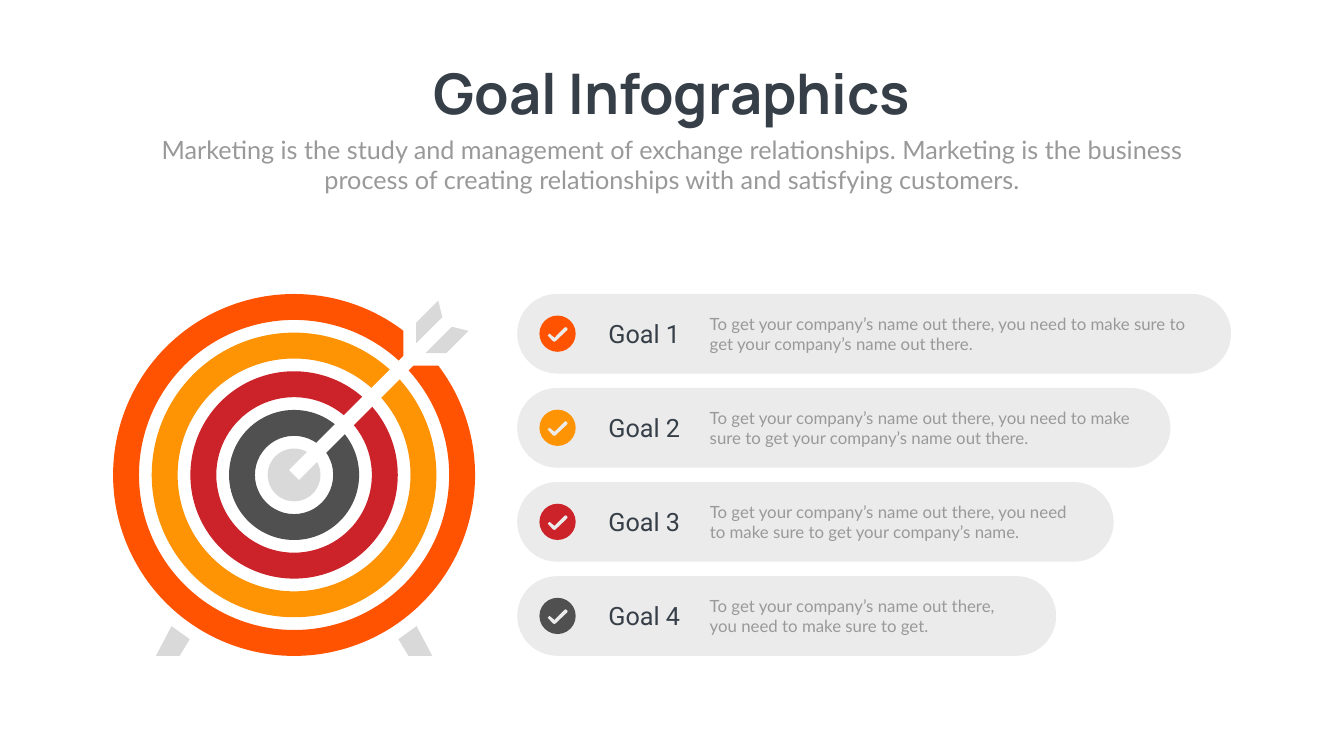
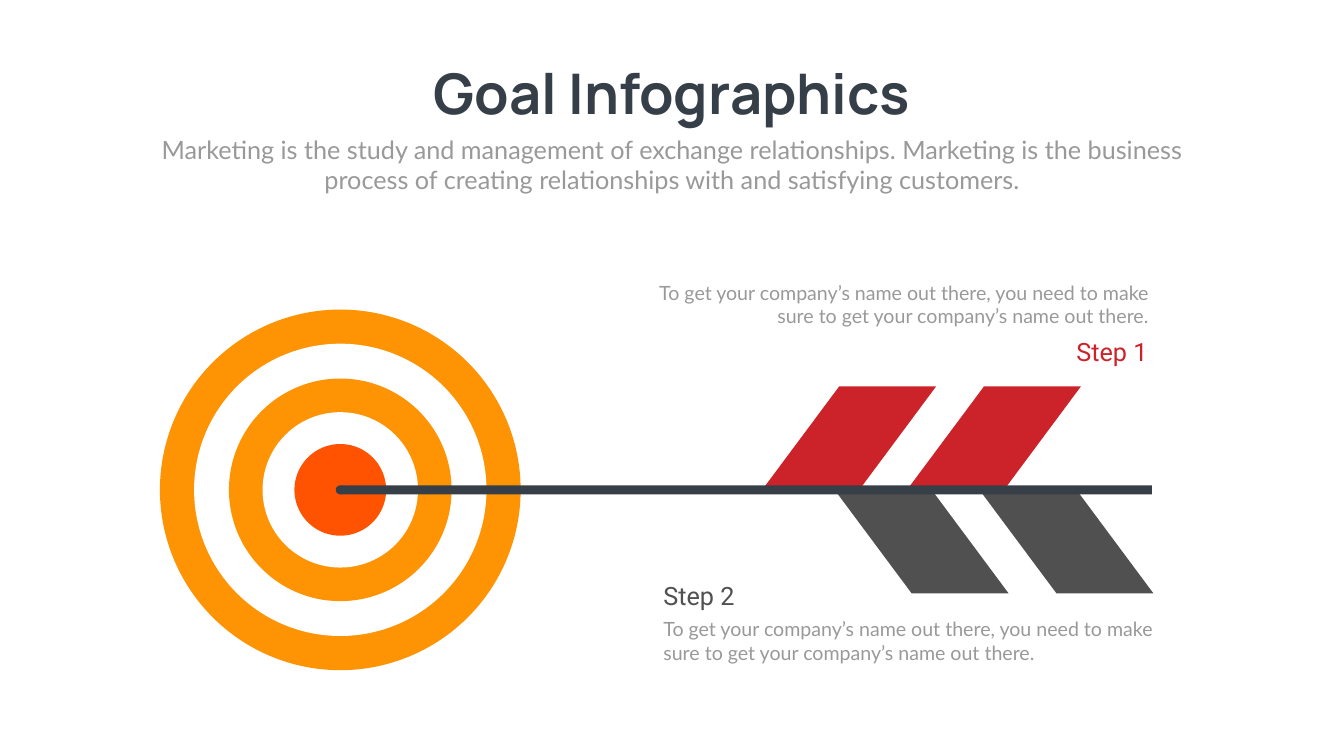
"""Build two goal infographic slides: a target with four goals and a target with two steps."""
import pptx
import pptx.dml.color
import pptx.enum.shapes
import pptx.enum.text
import pptx.util

Pt = pptx.util.Pt
SHAPE = pptx.enum.shapes.MSO_SHAPE
ALIGN = pptx.enum.text.PP_ALIGN

ORANGE, AMBER, RED, CHARCOAL = "FF5301", "FE9304", "CC2229", "4F504F"
NAVY, GREY, SILVER, PALE, WHITE = "363E48", "999999", "D9D9D9", "EBEBEB", "FFFFFF"

TITLE = "Goal Infographics"
SUBTITLE = ("Marketing is the study and management of exchange relationships. Marketing is the "
            "business process of creating relationships with and satisfying customers.")
PITCH = "To get your company’s name out there, you need to make sure to get"
FULL_PITCH = PITCH + " your company’s name out there."

GOALS = [
    ("Goal 1", FULL_PITCH, ORANGE, 1019.5, 695.5),
    ("Goal 2", FULL_PITCH, AMBER, 933, 624.2),
    ("Goal 3", PITCH + " your company’s name.", RED, 851.8, 530),
    ("Goal 4", PITCH + ".", CHARCOAL, 769.7, 439.2),
]
BAR_LEFT, BAR_TOP, BAR_HEIGHT, BAR_PITCH = 738.7, 419.8, 113.8, 134.4
CHECK = [(-14, 2.5), (-11.5, 0), (-4.3, 5.8), (10, -8.6), (11.9, -9.4), (14.4, -7),
         (13.7, -5), (-2.9, 10.8), (-4.3, 11.5), (-6.5, 10.8)]

TARGET = (420, 678.5)
RING_COLORS = [ORANGE, AMBER, RED, CHARCOAL]
RING_RADIUS, RING_PITCH, RING_WIDTH = 258.5, 55.2, 37
SLOT = [(-7, -7), (7, 7), (172, -158), (158, -172)]
NOTCH = [(156.2, -169.5), (170, -156.2), (215, -156.2), (215, -215), (156.2, -215)]
FLIGHT = [(217.4, -174.2), (249.1, -205.9), (225.4, -211.7), (187.9, -174.2)]
FOOT = [(-197.3, 258.5), (-163.4, 258.5), (-149, 234.7), (-175, 216)]

BULLSEYE = (486, 699.8)
DISCS = [(257.6, AMBER), (208.8, WHITE), (159, AMBER), (111, WHITE), (65.5, ORANGE)]
VANE_LEFT, VANE_PITCH, VANE_HEIGHT = 1088.6, 103.4, 147.8
STEPS = [
    ("Step 1", RED, ALIGN.RIGHT, (1411.2, 476.6), (897.8, 397.4)),
    ("Step 2", CHARCOAL, ALIGN.LEFT, (940.3, 825.1), (940.3, 878.4)),
]


def rgb(color):
    return pptx.dml.color.RGBColor.from_string(color)


def paint(shape, color):
    shape.shadow.inherit = False
    shape.fill.solid()
    shape.fill.fore_color.rgb = rgb(color)
    shape.line.fill.background()


def preset(slide, kind, left, top, width, height, color):
    shape = slide.shapes.add_shape(kind, Pt(left), Pt(top), Pt(width), Pt(height))
    paint(shape, color)
    return shape


def disc(slide, center, radius, color, kind=SHAPE.OVAL):
    x, y = center
    return preset(slide, kind, x - radius, y - radius, 2 * radius, 2 * radius, color)


def outline(slide, origin, corners, color):
    placed = [(Pt(origin[0] + x), Pt(origin[1] + y)) for x, y in corners]
    builder = slide.shapes.build_freeform(*placed[0])
    builder.add_line_segments(placed[1:], close=True)
    paint(builder.convert_to_shape(), color)


def write(slide, words, left, top, width, height, size, font, color,
          align=ALIGN.LEFT, bold=False, wrap=True):
    frame = slide.shapes.add_textbox(Pt(left), Pt(top), Pt(width), Pt(height)).text_frame
    frame.word_wrap = wrap
    frame.auto_size = pptx.enum.text.MSO_AUTO_SIZE.SHAPE_TO_FIT_TEXT
    frame.paragraphs[0].alignment = align
    run = frame.paragraphs[0].add_run()
    run.text = words
    run.font.size = Pt(size)
    run.font.name = font
    run.font.bold = bold
    run.font.color.rgb = rgb(color)


def add_headed_slide(deck):
    slide = deck.slides.add_slide(deck.slide_layouts[6])
    write(slide, TITLE, 583.2, 80.6, 753.8, 104.4, 80, "Manrope", NAVY, ALIGN.CENTER, True, False)
    write(slide, SUBTITLE, 210.2, 187.9, 1499, 94.3, 36, "Lato", GREY, ALIGN.CENTER)
    return slide


def draw_slotted_target(slide):
    for index, color in enumerate(RING_COLORS):
        radius = RING_RADIUS - index * RING_PITCH
        ring = disc(slide, TARGET, radius, color, SHAPE.DONUT)
        ring.adjustments[0] = RING_WIDTH / (2 * radius)
    disc(slide, TARGET, RING_RADIUS - len(RING_COLORS) * RING_PITCH, SILVER)
    for cutout in (SLOT, NOTCH):
        outline(slide, TARGET, cutout, WHITE)
    mirrored_foot = [(-x, y) for x, y in FOOT]
    mirrored_flight = [(-y, -x) for x, y in FLIGHT]
    for part in (FOOT, mirrored_foot, FLIGHT, mirrored_flight):
        outline(slide, TARGET, part, SILVER)


def draw_goals(slide):
    for index, (goal, detail, color, bar_width, detail_width) in enumerate(GOALS):
        top = BAR_TOP + index * BAR_PITCH
        middle = top + BAR_HEIGHT / 2
        bar = preset(slide, SHAPE.ROUNDED_RECTANGLE, BAR_LEFT, top, bar_width, BAR_HEIGHT, PALE)
        bar.adjustments[0] = 0.5
        badge = (796.3, middle)
        disc(slide, badge, 25.9, color)
        outline(slide, badge, CHECK, PALE)
        write(slide, detail, 1006.6, middle - 32.7, detail_width, 65.5, 24, "Lato", GREY)
        write(slide, goal, 861.8, middle - 25.5, 167, 51, 36, "Roboto", NAVY)


def draw_arrow_target(slide):
    x, y = BULLSEYE
    for index in range(4):
        left = VANE_LEFT + index * VANE_PITCH
        tip, color = (VANE_HEIGHT, CHARCOAL) if index % 2 else (-VANE_HEIGHT, RED)
        outline(slide, (left, y), [(0, 0), (110, tip), (248.4, tip), (138.6, 0)], color)
    for radius, color in DISCS:
        disc(slide, BULLSEYE, radius, color)
    preset(slide, SHAPE.RECTANGLE, x, y - 6.5, 1159, 13, NAVY)
    disc(slide, BULLSEYE, 6.5, NAVY)


def draw_steps(slide):
    for step, color, align, step_at, detail_at in STEPS:
        write(slide, FULL_PITCH, *detail_at, 749.5, 74.9, 28, "Lato", GREY, align)
        write(slide, step, *step_at, 234.7, 51, 36, "Roboto", color, align)


def main():
    deck = pptx.Presentation()
    deck.slide_width, deck.slide_height = Pt(1919.5), Pt(1080)
    goals = add_headed_slide(deck)
    draw_slotted_target(goals)
    draw_goals(goals)
    steps = add_headed_slide(deck)
    draw_arrow_target(steps)
    draw_steps(steps)
    deck.save("out.pptx")


if __name__ == "__main__":
    main()
